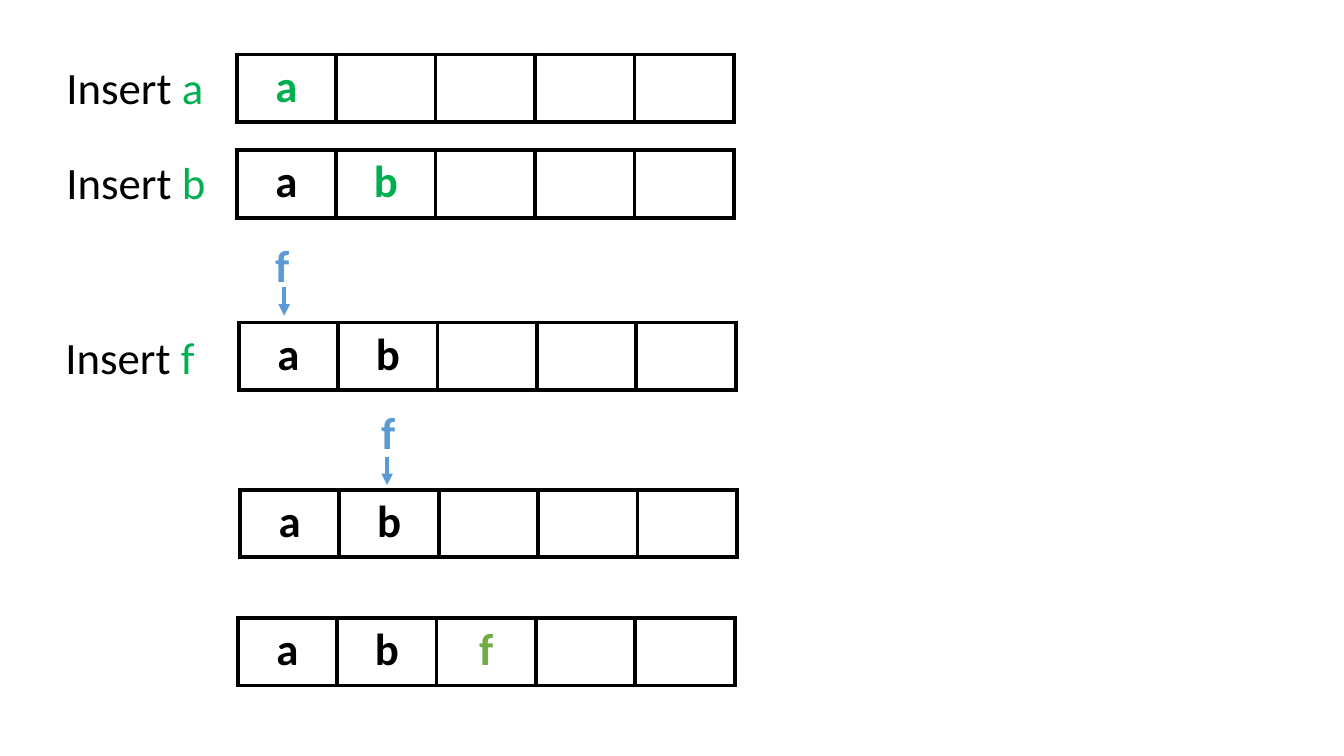
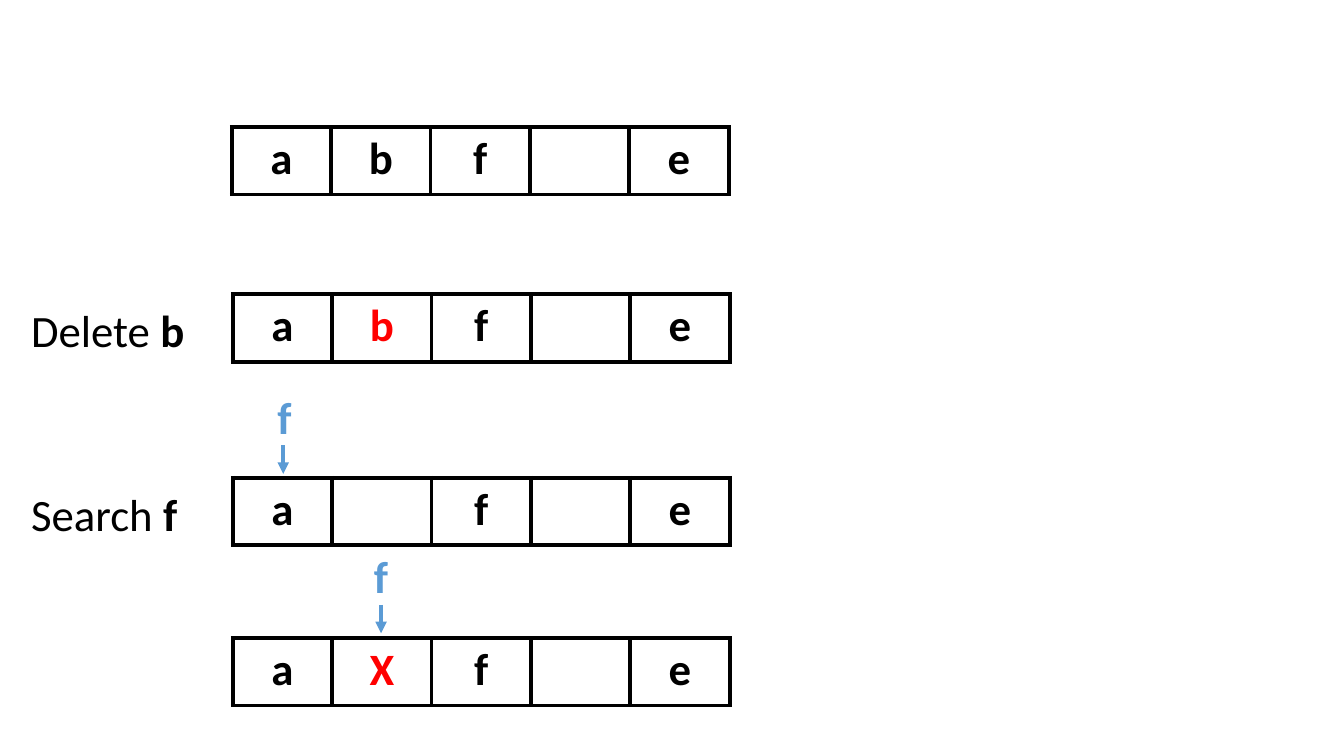
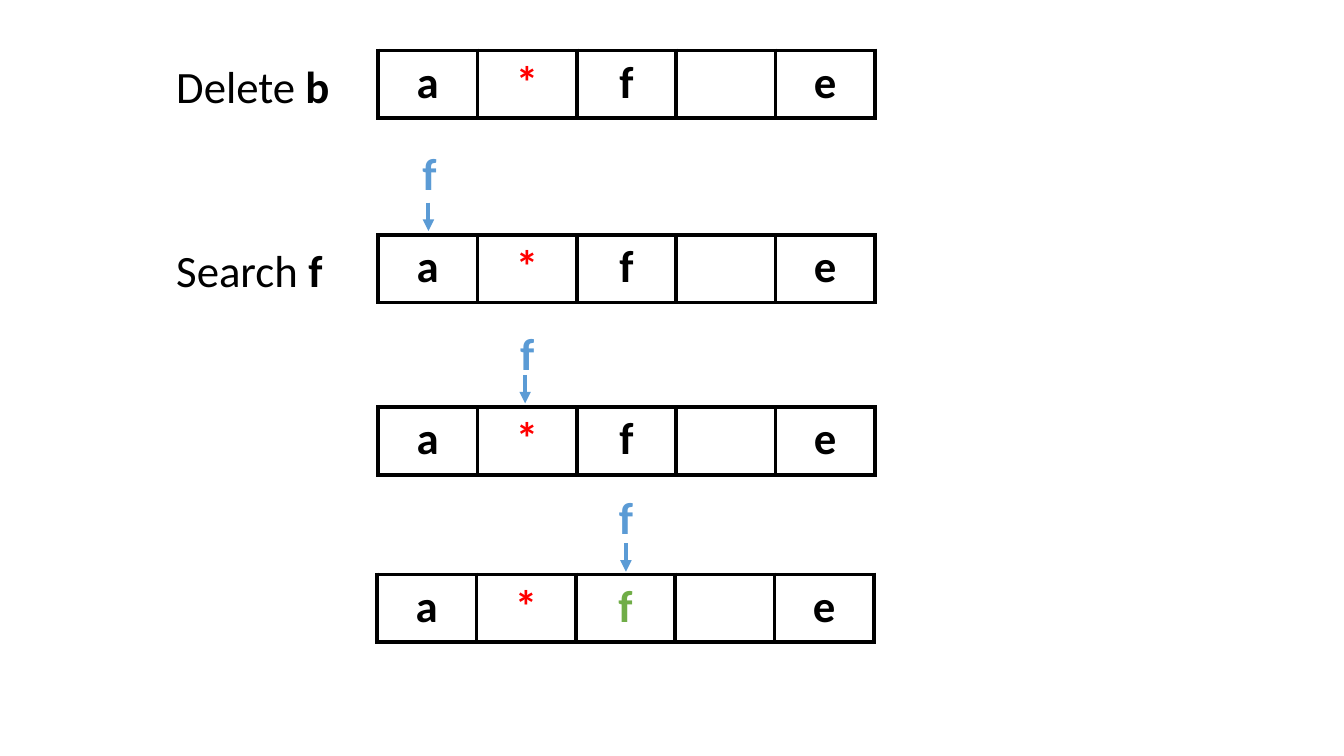
"""Build three slides that trace inserts, deletes and searches in a hash table."""
from lxml.etree import SubElement
from pptx import Presentation
from pptx.dml.color import RGBColor
from pptx.enum.shapes import MSO_CONNECTOR
from pptx.enum.text import MSO_AUTO_SIZE, PP_ALIGN
from pptx.oxml import parse_xml
from pptx.oxml.ns import nsdecls, qn
from pptx.util import Pt

BLACK = RGBColor(0x00, 0x00, 0x00)
WHITE = RGBColor(0xFF, 0xFF, 0xFF)
GREEN = RGBColor(0x00, 0xB0, 0x50)
LIGHT_GREEN = RGBColor(0x70, 0xAD, 0x47)
RED = RGBColor(0xFF, 0x00, 0x00)
BLUE = RGBColor(0x5B, 0x9B, 0xD5)

CELL_WIDTH = 71
CELL_HEIGHT = 48.2
TEXT_HEIGHT = 46
LABEL_WIDTH = 144
PROBE_WIDTH = 70.6
ARROW_LENGTH = 20.3

SLIDES = [
    {
        "arrays": [
            (169.2, 38.9, "a    ", {0: GREEN}),
            (169.2, 107.3, "ab   ", {1: GREEN}),
            (170.6, 230.4, "ab   ", {}),
            (171.4, 349.9, "ab   ", {}),
            (169.9, 441.4, "abf  ", {2: LIGHT_GREEN}),
        ],
        "labels": [
            (40.3, 38.9, "Insert ", "a"),
            (40.3, 107.3, "Insert ", "b"),
            (39.6, 231.8, "Insert ", "f"),
        ],
        "key_color": GREEN,
        "key_bold": False,
        "probes": [(166.3, 166.3, 203, 205.2), (241.9, 285.8, 276.5, 326.2)],
    },
    {
        "arrays": [
            (165.6, 90.7, "abf e", {}),
            (166.3, 210.2, "abf e", {1: RED}),
            (166.3, 341.3, "a f e", {}),
            (166.3, 455.8, "aXf e", {1: RED}),
        ],
        "labels": [(15.1, 212.4, "Delete ", "b"), (15.1, 344.2, "Search ", "f")],
        "key_color": BLACK,
        "key_bold": True,
        "probes": [(167.8, 275, 202.3, 318.2), (236.9, 388.1, 272.2, 432)],
    },
    {
        "arrays": [
            (270, 36, "a*f e", {1: RED}),
            (270, 167.8, "a*f e", {1: RED}),
            (270, 290.9, "a*f e", {1: RED}),
            (269.3, 410.4, "a*f e", {1: RED, 2: LIGHT_GREEN}),
        ],
        "labels": [(118.8, 38.2, "Delete ", "b"), (118.8, 169.9, "Search ", "f")],
        "key_color": BLACK,
        "key_bold": True,
        "probes": [
            (271.4, 100.8, 306, 144.7),
            (341.3, 229, 375.1, 267.8),
            (411.8, 346.3, 447.1, 388.1),
        ],
    },
]


def set_font(font, color, bold):
    font.name = "Calibri"
    font.size = Pt(32)
    font.bold = bold
    font.color.rgb = color


def add_text(slide, left, top, width, *texts):
    shape = slide.shapes.add_textbox(Pt(left), Pt(top), Pt(width), Pt(TEXT_HEIGHT))
    shape.text_frame.word_wrap = True
    shape.text_frame.auto_size = MSO_AUTO_SIZE.SHAPE_TO_FIT_TEXT
    paragraph = shape.text_frame.paragraphs[0]
    for text in texts:
        paragraph.add_run().text = text
    return paragraph


presentation = Presentation()
presentation.slide_width = Pt(960)
presentation.slide_height = Pt(540)

for content in SLIDES:
    slide = presentation.slides.add_slide(presentation.slide_layouts[6])

    for left, top, letters, accents in content["arrays"]:
        table = slide.shapes.add_table(
            1, len(letters), Pt(left), Pt(top),
            Pt(CELL_WIDTH * len(letters)), Pt(CELL_HEIGHT),
        ).table
        table.first_row = False
        table.horz_banding = False
        for index, letter in enumerate(letters):
            table.columns[index].width = Pt(CELL_WIDTH)
            cell = table.cell(0, index)
            properties = cell._tc.get_or_add_tcPr()
            for side in ("lnL", "lnR", "lnT", "lnB"):
                properties.append(parse_xml(
                    f'<a:{side} {nsdecls("a")} w="{Pt(3)}"><a:solidFill>'
                    f'<a:srgbClr val="{BLACK}"/></a:solidFill></a:{side}>'
                ))
            cell.fill.solid()
            cell.fill.fore_color.rgb = WHITE
            cell.text = letter.strip()
            paragraph = cell.text_frame.paragraphs[0]
            paragraph.alignment = PP_ALIGN.CENTER
            set_font(paragraph.font, accents.get(index, BLACK), True)

    for left, top, action, key in content["labels"]:
        paragraph = add_text(slide, left, top, LABEL_WIDTH, action, key)
        action_run, key_run = paragraph.runs
        set_font(action_run.font, BLACK, False)
        set_font(key_run.font, content["key_color"], content["key_bold"])

    for left, top, arrow_left, arrow_top in content["probes"]:
        paragraph = add_text(slide, left, top, PROBE_WIDTH, "f")
        paragraph.alignment = PP_ALIGN.CENTER
        set_font(paragraph.font, BLUE, True)
        arrow = slide.shapes.add_connector(
            MSO_CONNECTOR.STRAIGHT, Pt(arrow_left), Pt(arrow_top),
            Pt(arrow_left), Pt(arrow_top + ARROW_LENGTH),
        )
        arrow.line.color.rgb = BLUE
        arrow.line.width = Pt(2.75)
        SubElement(arrow.line._get_or_add_ln(), qn("a:tailEnd"), type="triangle")
        SubElement(arrow._element.spPr, qn("a:effectLst"))

presentation.save("out.pptx")
